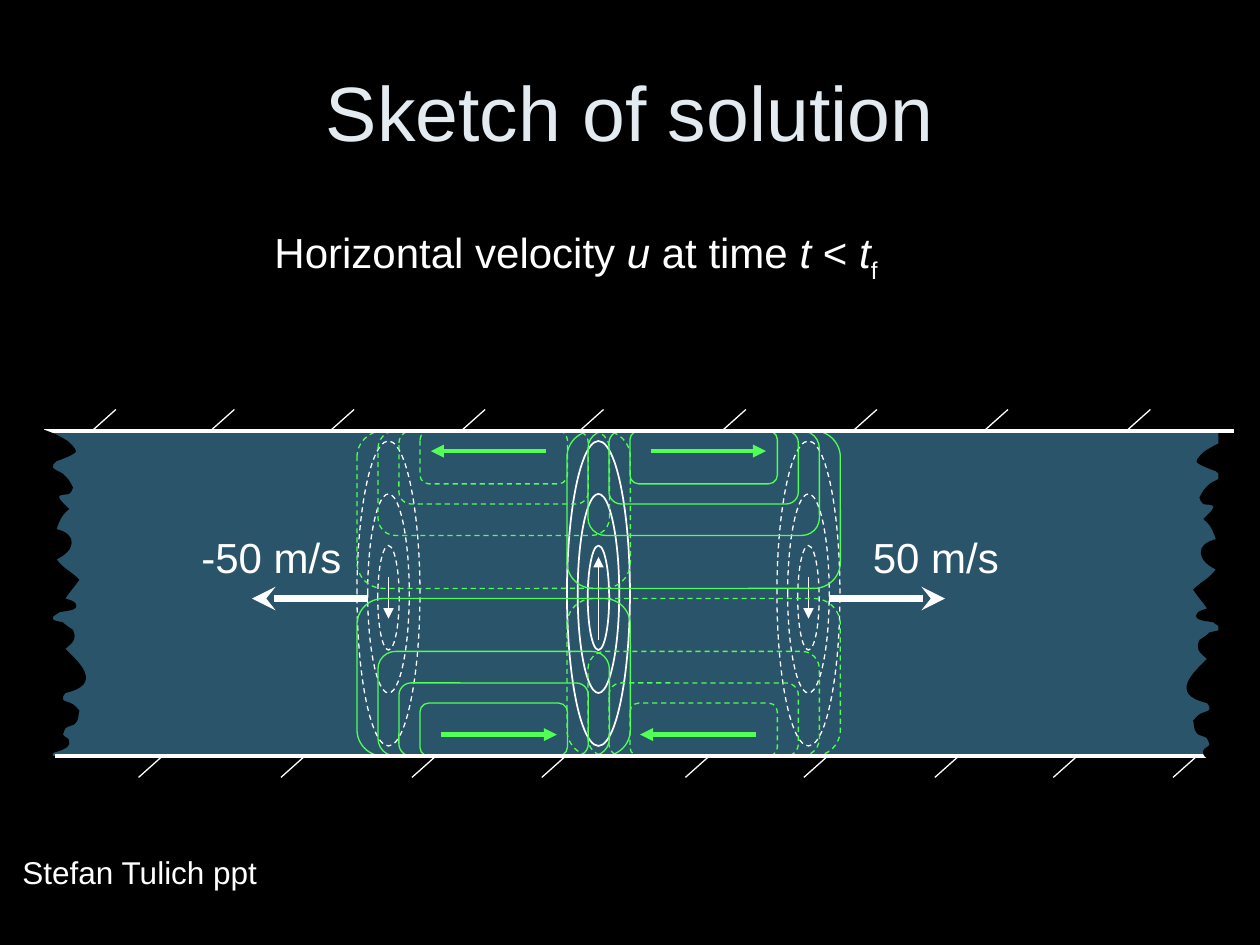
from lxml import etree
from pptx import Presentation
from pptx.dml.color import RGBColor
from pptx.enum.dml import MSO_LINE
from pptx.enum.shapes import MSO_CONNECTOR, MSO_SHAPE
from pptx.enum.text import MSO_ANCHOR, PP_ALIGN
from pptx.oxml.ns import qn
from pptx.util import Inches, Pt

OVAL, RECT, ROUND = MSO_SHAPE.OVAL, MSO_SHAPE.RECTANGLE, MSO_SHAPE.ROUNDED_RECTANGLE
STRAIGHT, DASH = MSO_CONNECTOR.STRAIGHT, MSO_LINE.DASH
COLORS = {"bg": "000000", "title": "E3EBF1", "text": "FFFFFF",
          "fluid": "66CCFF", "flow": "51FF56"}
FONT = "Arial"

# Content: runs are (text, style)
TITLE = "Sketch of solution"
SUBTITLE = [("Horizontal velocity ", ""), ("u", "italic"), (" at time ", ""),
            ("t", "italic"), (" < ", ""), ("t", "italic"), ("f", "sub")]
LABELS = [  # runs, box, size, wrap
    (SUBTITLE, (2.08, 1.75, 6.67, 0.5), 24, True),
    ([("50 m/s", "")], (6.83, 4.17, 1.2, 0.5), 24, False),
    ([("-50 m/s", "")], (1.5, 4.17, 1.31, 0.5), 24, False),
]
CREDIT = ([("Stefan Tulich ppt", "")], (0.08, 6.72, 2.52, 0.4), 18, True)

TOP, BOTTOM = 3.42, 6.0
SHIFT = 5 / 3  # distance between neighbouring plumes
PLUMES = [  # centre x, dashed, line width, arrow start y, arrow tip y
    (4.75, False, 1, 5.08, 4.42),
    (4.75 + SHIFT, True, 0.75, 4.58, 4.91),
    (4.75 - SHIFT, True, 0.75, 4.58, 4.91),
]
PLUME_RINGS = [(3.5, 0.5, 2.42), (3.92, 0.33, 1.58), (4.33, 0.17, 0.83)]  # top, w, h
CELLS = [  # left, at top, dashed, arrow start x, arrow tip x
    (4.5, True, False, 5.17, 6.08),
    (4.5 - SHIFT, False, False, 3.5, 4.42),
    (4.5 - SHIFT, True, True, 4.33, 3.42),
    (4.5, False, True, 6.0, 5.08),
]
CELL_WIDTH, CELL_HEIGHTS = 2.17, [1.25, 0.83, 0.58, 0.42]
FRONTS = [(6.58, 7.5), (2.92, 2.0)]
WALLS = [  # y, line start, line end, hatch offset x and y, hatch roots
    (TOP, 0.35, 9.79, 0.19, -0.17,
     [0.73, 1.67, 2.62, 3.66, 4.6, 5.73, 6.77, 7.81, 8.94]),
    (BOTTOM, 9.87, 0.44, -0.19, 0.17,
     [9.5, 8.55, 7.61, 6.57, 5.63, 4.49, 3.46, 2.42, 1.29]),
]
# Torn left edge: start point, then Bezier curves (control, control, end)
TORN_START = (0.16, 3.3)
TORN_CURVES = [
    (0.23, 3.39, 0.29, 3.38, 0.45, 3.45), (0.47, 3.46, 0.52, 3.49, 0.52, 3.49),
    (0.53, 3.49, 0.62, 3.57, 0.6, 3.59), (0.57, 3.62, 0.45, 3.66, 0.45, 3.66),
    (0.43, 3.68, 0.41, 3.69, 0.42, 3.71), (0.43, 3.73, 0.47, 3.74, 0.5, 3.76),
    (0.55, 3.81, 0.55, 3.81, 0.58, 3.87), (0.57, 3.89, 0.57, 3.91, 0.55, 3.92),
    (0.53, 3.93, 0.48, 3.92, 0.47, 3.94), (0.46, 3.96, 0.54, 4.03, 0.55, 4.04),
    (0.53, 4.06, 0.51, 4.07, 0.5, 4.09), (0.47, 4.13, 0.45, 4.2, 0.45, 4.2),
    (0.62, 4.24, 0.6, 4.37, 0.45, 4.44), (0.51, 4.52, 0.56, 4.53, 0.63, 4.6),
    (0.6, 4.65, 0.55, 4.7, 0.52, 4.75), (0.55, 4.76, 0.59, 4.77, 0.6, 4.79),
    (0.64, 4.85, 0.5, 4.85, 0.47, 4.86), (0.45, 4.88, 0.41, 4.89, 0.42, 4.91),
    (0.42, 4.93, 0.47, 4.93, 0.5, 4.94), (0.52, 4.96, 0.55, 4.98, 0.58, 5.0),
    (0.61, 5.07, 0.59, 5.09, 0.52, 5.15), (0.62, 5.25, 0.83, 5.43, 0.52, 5.5),
    (0.51, 5.52, 0.49, 5.53, 0.5, 5.55), (0.51, 5.57, 0.55, 5.57, 0.58, 5.59),
    (0.6, 5.6, 0.61, 5.62, 0.63, 5.64), (0.62, 5.67, 0.63, 5.71, 0.6, 5.74),
    (0.59, 5.76, 0.54, 5.76, 0.52, 5.78), (0.51, 5.79, 0.51, 5.81, 0.5, 5.83),
    (0.51, 5.85, 0.55, 5.86, 0.55, 5.88), (0.57, 5.95, 0.43, 5.97, 0.37, 5.99),
    (0.16, 5.95, 0.26, 5.9, 0.21, 5.76), (0.19, 5.71, 0.16, 5.66, 0.13, 5.6),
    (0.16, 5.13, 0.18, 4.66, 0.1, 4.2), (0.11, 3.94, 0.11, 3.68, 0.13, 3.42),
    (0.13, 3.4, 0.22, 3.25, 0.16, 3.3),
]
MIRROR_SUM, MIRROR_DROP = 10.1, 0.08  # right edge: x -> 10.1 - x, a little lower


def rgb(name):
    return RGBColor.from_string(COLORS[name])


def add_text(s, runs, box, size, wrap):
    tf = s.shapes.add_textbox(*map(Inches, box)).text_frame
    tf.word_wrap = wrap
    for text, style in runs:
        r = tf.paragraphs[0].add_run()
        r.text = text
        r.font.name, r.font.size = FONT, Pt(size)
        r.font.color.rgb = rgb("text")
        r.font.italic = style == "italic"
        if style == "sub":
            r.font._element.set("baseline", "-25000")


def fill_plain(sp, color):
    sp.shadow.inherit = False
    sp.fill.solid()
    sp.fill.fore_color.rgb = rgb(color)
    sp.line.fill.background()


def add_outline(s, kind, box, color, width, dashed):
    sp = s.shapes.add_shape(kind, *map(Inches, box))
    sp.shadow.inherit = False
    sp.fill.background()
    sp.line.color.rgb, sp.line.width = rgb(color), Pt(width)
    if dashed:
        sp.line.dash_style = DASH


def add_line(s, x1, y1, x2, y2, color, width, arrow=None):
    c = s.shapes.add_connector(STRAIGHT, *map(Inches, (x1, y1, x2, y2)))
    c.line.color.rgb, c.line.width = rgb(color), Pt(width)
    if arrow:
        etree.SubElement(c.line._get_or_add_ln(), qn("a:tailEnd"), type=arrow)
    etree.SubElement(c._element.spPr, qn("a:effectLst"))


def add_torn_edge(s, points):
    """Draw the points as line segments, then join each three into one curve."""
    points = [(Inches(x), Inches(y)) for x, y in points]
    builder = s.shapes.build_freeform(*points[0])
    builder.add_line_segments(points[1:], close=True)
    sp = builder.convert_to_shape()
    segments = list(sp._element.iter(qn("a:lnTo")))
    for i in range(0, len(segments), 3):
        curve = etree.Element(qn("a:cubicBezTo"))
        segments[i].addprevious(curve)
        for segment in segments[i:i + 3]:
            curve.append(segment[0])
            segment.getparent().remove(segment)
    fill_plain(sp, "bg")


def main():
    prs = Presentation()
    prs.slide_width, prs.slide_height = Inches(10), Inches(7.5)
    s = prs.slides.add_slide(prs.slide_layouts[5])
    s.background.fill.solid()
    s.background.fill.fore_color.rgb = rgb("bg")

    # Title
    title = s.shapes.title
    title.left, title.top, title.width, title.height = map(Inches, (0.75, 0.25, 8.5, 1.25))
    tf = title.text_frame
    tf.text = TITLE
    tf.vertical_anchor = MSO_ANCHOR.MIDDLE
    p = tf.paragraphs[0]
    p.alignment = PP_ALIGN.CENTER
    font = p.runs[0].font
    font.name, font.size, font.color.rgb = FONT, Pt(44), rgb("title")

    # Translucent fluid layer
    fluid = s.shapes.add_shape(RECT, *map(Inches, (0.42, TOP, 9.25, BOTTOM - TOP)))
    fill_plain(fluid, "fluid")
    color = fluid._element.spPr.find(qn("a:solidFill"))[0]
    etree.SubElement(color, qn("a:alpha"), val="41000")

    # Vertical motion: nested ellipses with an arrow
    for x, dashed, width, start, tip in PLUMES:
        for top, w, h in PLUME_RINGS:
            add_outline(s, OVAL, (x - w / 2, top, w, h), "text", width, dashed)
        add_line(s, x, start, x, tip, "text", 0.75, "triangle")

    # Labels and moving fronts
    for label in LABELS:
        add_text(s, *label)
    for start, tip in FRONTS:
        add_line(s, start, 4.75, tip, 4.75, "text", 4.5, "stealth")

    # Horizontal flow: nested cells against a wall
    for left, at_top, dashed, start, tip in CELLS:
        for i, h in enumerate(CELL_HEIGHTS):
            box = (left + i / 6, TOP if at_top else BOTTOM - h, CELL_WIDTH - i / 3, h)
            add_outline(s, ROUND, box, "flow", 0.75, dashed)
        y = 3.58 if at_top else 5.83
        add_line(s, start, y, tip, y, "flow", 2.5, "triangle")

    # Hatched walls
    for y, start, end, dx, dy, roots in WALLS:
        add_line(s, start, y, end, y, "text", 2.25)
        for x in roots:
            add_line(s, x, y, x + dx, y + dy, "text", 0.75)

    # Torn ends of the layer
    left_edge = [TORN_START] + [c[i:i + 2] for c in TORN_CURVES for i in (0, 2, 4)]
    add_torn_edge(s, left_edge)
    add_torn_edge(s, [(MIRROR_SUM - x, y + MIRROR_DROP) for x, y in left_edge])
    fill_plain(s.shapes.add_shape(RECT, *map(Inches, (9.66, 5.83, 0.33, 0.25))), "bg")

    add_text(s, *CREDIT)
    prs.save("out.pptx")


if __name__ == "__main__":
    main()
